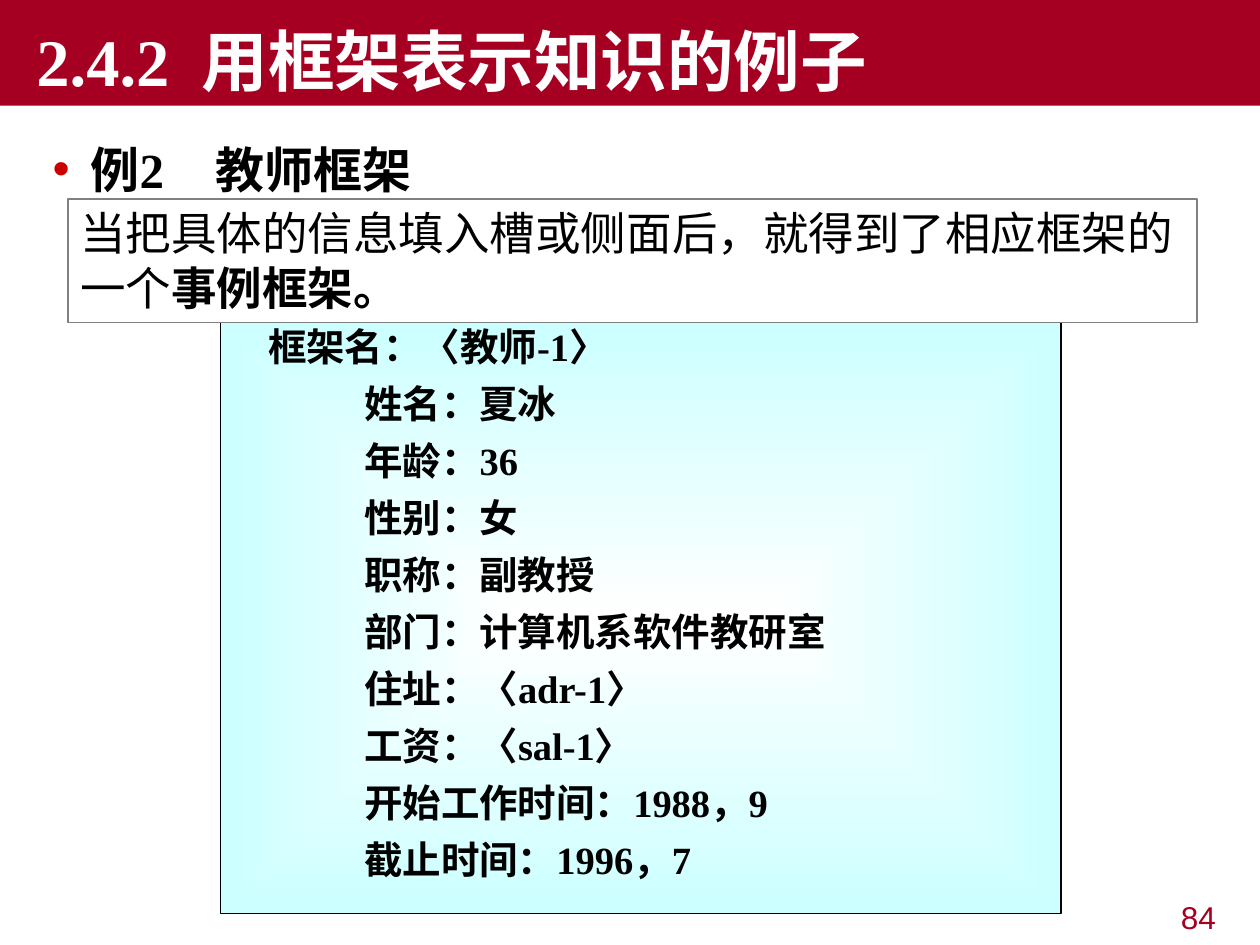
import pptx
import pptx.dml.color
import pptx.enum.text
import pptx.oxml
import pptx.oxml.ns
import pptx.util
from pptx.util import Cm

SERIF = "Times New Roman"
SANS = "Arial"
CRIMSON = "A50021"
BLACK = "000000"
WHITE = "FFFFFF"
TEACHER_SLOTS = [
    "姓名：夏冰",
    "年龄：36",
    "性别：女",
    "职称：副教授",
    "部门：计算机系软件教研室",
    "住址：〈adr-1〉",
    "工资：〈sal-1〉",
    "开始工作时间：1988，9",
    "截止时间：1996，7",
]


def rgb(hex_color):
    return pptx.dml.color.RGBColor.from_string(hex_color)


def place(shape, left, top, width, height):
    shape.left, shape.top = Cm(left), Cm(top)
    shape.width, shape.height = Cm(width), Cm(height)


def prepare_frame(shape, anchor=pptx.enum.text.MSO_ANCHOR.TOP):
    frame = shape.text_frame
    frame.word_wrap = True
    frame.auto_size = pptx.enum.text.MSO_AUTO_SIZE.NONE
    frame.vertical_anchor = anchor
    return frame


def add_text_box(slide, left, top, width, height):
    box = slide.shapes.add_textbox(Cm(left), Cm(top), Cm(width), Cm(height))
    prepare_frame(box)
    return box


def add_run(paragraph, text, size, font, color=BLACK, bold=False):
    run = paragraph.add_run()
    run.text = text
    run.font.size = pptx.util.Pt(size)
    run.font.name = font
    run.font.bold = bold
    run.font.color.rgb = rgb(color)


def add_properties(paragraph, *elements):
    """Append bullet and tab elements, given as XML without a namespace."""
    properties = paragraph._p.get_or_add_pPr()
    for element in elements:
        declared = element.replace(">", f" {pptx.oxml.ns.nsdecls('a')}>", 1)
        properties.append(pptx.oxml.parse_xml(declared))


def set_indent(paragraph, margin, first_line):
    properties = paragraph._p.get_or_add_pPr()
    properties.set("marL", str(Cm(margin)))
    properties.set("indent", str(Cm(first_line)))


def tab_stop(position):
    return f'<a:tabLst><a:tab pos="{Cm(position)}" algn="l"/></a:tabLst>'


def outline(shape, color):
    shape.line.color.rgb = rgb(color)
    shape.line.width = pptx.util.Pt(0.75)


def fill_from_centre(shape, centre, edge):
    shape.fill.gradient()
    for stop, color in zip(shape.fill.gradient_stops, (centre, edge)):
        stop.color.rgb = rgb(color)
    gradient = shape._element.spPr.find(pptx.oxml.ns.qn("a:gradFill"))
    gradient.remove(gradient.find(pptx.oxml.ns.qn("a:lin")))
    gradient.append(pptx.oxml.parse_xml(
        f'<a:path {pptx.oxml.ns.nsdecls("a")} path="shape">'
        '<a:fillToRect l="50000" t="50000" r="50000" b="50000"/></a:path>'))


def add_title(slide):
    title = slide.shapes.title
    place(title, 0, 0, 25.4, 2.13)
    title.fill.solid()
    title.fill.fore_color.rgb = rgb(CRIMSON)
    frame = prepare_frame(title, pptx.enum.text.MSO_ANCHOR.BOTTOM)
    heading = frame.paragraphs[0]
    heading.alignment = pptx.enum.text.PP_ALIGN.LEFT
    set_indent(heading, 0, 0.48)
    add_properties(heading, tab_stop(4.11))
    add_run(heading, "2.4.2\t用框架表示知识的例子", 38, SERIF, WHITE, True)


def add_teacher_frame(slide):
    teacher = slide.placeholders[1]
    place(teacher, 4.45, 6.5, 16.94, 11.91)
    fill_from_centre(teacher, WHITE, "CCFFFF")
    outline(teacher, BLACK)
    frame = prepare_frame(teacher)
    for index, text in enumerate(["框架名：〈教师-1〉"] + TEACHER_SLOTS):
        line = frame.add_paragraph() if index else frame.paragraphs[0]
        set_indent(line, 2.64 if index else 0.7, 0)
        line.line_spacing = 0.9
        line.space_before = pptx.util.Pt(8.8 if index else 0)
        add_properties(line, "<a:buNone></a:buNone>")
        add_run(line, text, 22, SERIF, bold=True)


def add_example_heading(slide):
    box = add_text_box(slide, 0.81, 2.57, 9.22, 1.55)
    example = box.text_frame.paragraphs[0]
    example.line_spacing = 1.1
    set_indent(example, 0.77, -0.77)
    add_properties(
        example,
        '<a:buClr><a:srgbClr val="CC0000"/></a:buClr>',
        f'<a:buFont typeface="{SANS}"></a:buFont>',
        '<a:buChar char="•"></a:buChar>',
        tab_stop(3.28))
    add_run(example, "例2\t", 28, SERIF, bold=True)
    add_run(example, "教师框架", 28, SANS, bold=True)


def add_explanation(slide):
    box = add_text_box(slide, 1.37, 4.01, 22.76, 2.49)
    box.fill.solid()
    box.fill.fore_color.rgb = rgb(WHITE)
    outline(box, "808080")
    explanation = box.text_frame.paragraphs[0]
    add_run(explanation, "当把具体的信息填入槽或侧面后，就得到了相应框架的一个", 26, SANS)
    add_run(explanation, "事例框架。", 26, SANS, bold=True)


def add_page_number(slide):
    box = add_text_box(slide, 19.25, 17.98, 5.51, 0.99)
    number = box.text_frame.paragraphs[0]
    number.alignment = pptx.enum.text.PP_ALIGN.RIGHT
    add_run(number, "84", 18, SANS, CRIMSON)


def main():
    deck = pptx.Presentation()
    deck.slide_width, deck.slide_height = Cm(25.4), Cm(19.05)
    slide = deck.slides.add_slide(deck.slide_layouts[1])
    add_page_number(slide)
    add_title(slide)
    add_teacher_frame(slide)
    add_example_heading(slide)
    add_explanation(slide)
    deck.save("out.pptx")


if __name__ == "__main__":
    main()
